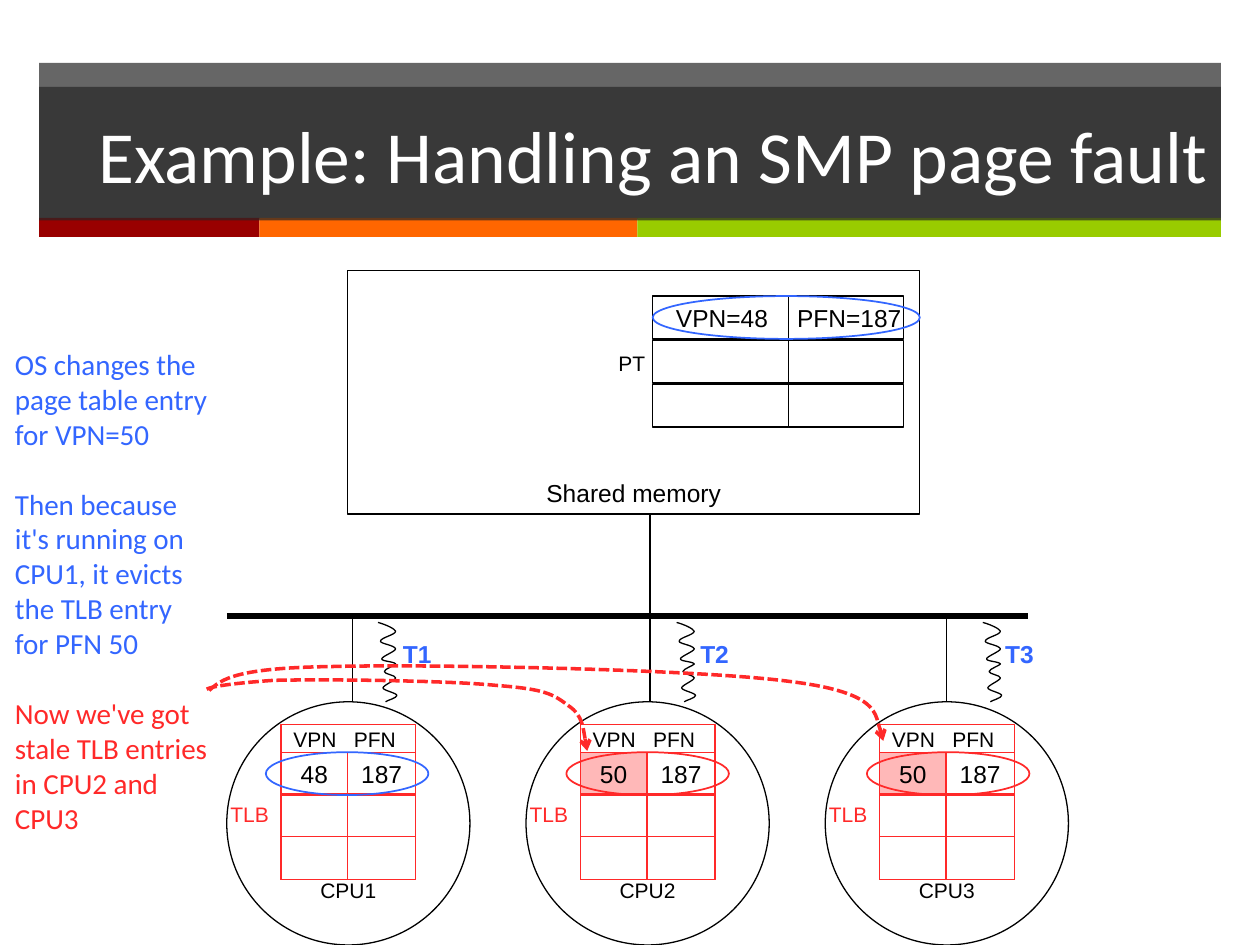
from lxml import etree
from pptx import Presentation, util as u
from pptx.dml.color import RGBColor
from pptx.enum import dml, shapes, text
from pptx.oxml.ns import qn

BLACK = RGBColor(0, 0, 0)
WHITE = RGBColor(255, 255, 255)
DARK = RGBColor(0x26, 0x26, 0x26)
RED = RGBColor(0xFF, 0x29, 0x29)
PINK = RGBColor(0xFF, 0xB8, 0xB8)
BLUE = RGBColor(0x33, 0x66, 0xFF)

TITLE = "Example: Handling an SMP page fault"
STRIPES = [(1.75, RGBColor(0x99, 0, 0)), (3, RGBColor(0xFF, 0x66, 0)),
           (4.63, RGBColor(0x99, 0xCC, 0))]
STORY = [
    ("OS changes the page table entry for VPN=50", BLUE),
    ("Then because it's running on CPU1, it evicts the TLB entry for PFN 50", BLUE),
    ("Now we've got stale TLB entries in CPU2 and CPU3", RED),
]
CPUS = [
    dict(name="CPU1", thread="T1", vpn="48", cell=WHITE, mark=BLUE,
         drop=2.8, wave=3.0, tag=3.1),
    dict(name="CPU2", thread="T2", vpn="50", cell=PINK, mark=RED,
         drop=5.16, wave=5.37, tag=5.46),
    dict(name="CPU3", thread="T3", vpn="50", cell=PINK, mark=RED,
         drop=7.51, wave=7.8, tag=7.88),
]
PFN = "187"
CPU_LEFT, CPU_STEP, CPU_TOP, CPU_SIZE = 1.8, 2.375, 5.57, 1.93
MARK_LEFT, MARK_STEP = 2.11, 2.385
TLB_TOP, TLB_ROWS, TLB_COLS = 5.75, (5.97, 6.3, 6.64), ((0, 0.53), (0.53, 0.54))
PT_LEFT, PT_TOP, PT_STEP, PT_COLS = 5.18, 2.35, 0.35, ((0, 1.08), (1.08, 0.91))
ROW_H, BUS_Y = 0.34, 4.89

WAVE = [
    (0, 0), (.07, .02), (.13, .05), (.14, .07), (.14, .1), (.02, .12), (.02, .15),
    (.02, .17), (.13, .18), (.14, .21), (.14, .23), (.03, .27), (.03, .29),
    (.03, .31), (.13, .31), (.14, .33), (.14, .34), (.05, .37), (.05, .39),
    (.05, .41), (.14, .42), (.14, .44), (.14, .46), (.04, .5), (.04, .52),
    (.04, .54), (.15, .56), (.15, .58), (.15, .6), (.07, .62), (.06, .63),
]
STALE_ARROWS = [
    [(1.66, 5.48), (1.76, 5.39), (1.87, 5.3), (2.64, 5.29), (3.41, 5.27),
     (5.55, 5.31), (6.28, 5.41), (7, 5.5), (7.01, 5.88), (7.01, 5.88)],
    [(1.64, 5.47), (1.71, 5.43), (2.17, 5.4), (2.17, 5.4), (2.55, 5.39),
     (3.55, 5.4), (3.94, 5.44), (4.33, 5.47), (4.39, 5.51), (4.51, 5.6),
     (4.63, 5.68), (4.66, 5.96), (4.66, 5.96)],
]

deck = Presentation()
deck.slide_width, deck.slide_height = u.Inches(10), u.Inches(7.5)
slide = deck.slides.add_slide(deck.slide_layouts[6])


def paint(part, fill=None, line=None, width=0.75):
    part.shadow.inherit = False
    if fill is None:
        part.fill.background()
    else:
        part.fill.solid()
        part.fill.fore_color.rgb = fill
    if line is None:
        part.line.fill.background()
    else:
        part.line.color.rgb = line
        part.line.width = u.Pt(width)
    return part


def block(left, top, width, height, fill=None, line=None, weight=0.75, oval=False):
    kind = shapes.MSO_SHAPE.OVAL if oval else shapes.MSO_SHAPE.RECTANGLE
    part = slide.shapes.add_shape(kind, *map(u.Inches, (left, top, width, height)))
    return paint(part, fill, line, weight)


def write(part, lines, size, font="Arial", align="CENTER", anchor="MIDDLE",
          wrap=False, bold=False, gap=0, tab=None):
    frame = part.text_frame
    frame.word_wrap = wrap
    frame.vertical_anchor = text.MSO_ANCHOR[anchor]
    for i, (words, color) in enumerate(lines):
        para = frame.add_paragraph() if i else frame.paragraphs[0]
        if tab:
            stops = etree.SubElement(para._p.get_or_add_pPr(), qn("a:tabLst"))
            etree.SubElement(stops, qn("a:tab"), pos=str(u.Inches(tab)), algn="l")
        para.alignment = text.PP_ALIGN[align]
        if i:
            para.space_before = u.Pt(gap)
        run = para.add_run()
        run.text = words
        run.font.size, run.font.name, run.font.bold = u.Pt(size), font, bold
        run.font.color.rgb = color
    return frame


def label(left, top, width, height, lines, size, **style):
    box = slide.shapes.add_textbox(*map(u.Inches, (left, top, width, height)))
    return write(box, lines, size, align="LEFT", anchor="TOP", **style)


def wire(x1, y1, x2, y2, width=0.75):
    line = slide.shapes.add_connector(
        shapes.MSO_CONNECTOR.STRAIGHT, *map(u.Inches, (x1, y1, x2, y2)))
    line.line.color.rgb, line.line.width = BLACK, u.Pt(width)
    etree.SubElement(line._element.spPr, qn("a:effectLst"))


def curve(points, color, width=0.75):
    start, *rest = [tuple(map(u.Inches, point)) for point in points]
    builder = slide.shapes.build_freeform(*start)
    builder.add_line_segments(rest, close=False)
    part = builder.convert_to_shape()
    sides = part._element.spPr.findall(".//" + qn("a:lnTo"))
    for k in range(0, len(sides), 3):
        bend = etree.Element(qn("a:cubicBezTo"))
        sides[k].addprevious(bend)
        for side in sides[k:k + 3]:
            bend.append(side[0])
            side.getparent().remove(side)
    return paint(part, line=color, width=width)


def band(top, height):
    part = block(0.31, top, 9.38, height, DARK)
    shade = part._element.spPr.find(".//" + qn("a:srgbClr"))
    etree.SubElement(shade, qn("a:alpha"), val="70000")
    return part


def banner():
    band(0.5, 1.24)
    left = 0.31
    for width, color in STRIPES:
        block(left, 1.73, width, 0.15, color)
        left += width
    frame = write(band(0.69, 1.06), [(TITLE, WHITE)], 42, "Calibri", "LEFT")
    frame.margin_left = u.Inches(0.47)


def memory():
    write(block(2.76, 2.15, 4.54, 1.93, line=BLACK),
          [("Shared memory", BLACK)], 14, anchor="BOTTOM")
    for row in range(3):
        for col, (offset, width) in enumerate(PT_COLS):
            cell = block(PT_LEFT + offset, PT_TOP + row * PT_STEP, width, ROW_H, line=BLACK)
            if row == 0:
                entry, indent = (("VPN=48", 0.12), ("PFN=187", 0.15))[col]
                frame = write(cell, [(entry, BLACK)], 14)
                frame.margin_left = u.Inches(indent)
    label(4.81, 2.73, 0.54, 0.3, [("PT", BLACK)], 12, wrap=True)
    block(PT_LEFT, PT_TOP, 2.12, ROW_H, line=BLUE, weight=1, oval=True)


def processor(index, cpu):
    left = CPU_LEFT + index * CPU_STEP
    tlb = left + 0.43
    write(block(left, CPU_TOP, CPU_SIZE, CPU_SIZE, line=BLACK, oval=True),
          [(cpu["name"], BLACK)], 12, anchor="BOTTOM")
    wire(cpu["drop"], BUS_Y, cpu["drop"], CPU_TOP)
    block(tlb, TLB_TOP, 1.07, 1.23, line=RED)
    label(tlb, 5.72, 1.07, 0.3, [("VPN\tPFN", BLACK)], 12, wrap=True, tab=0.48)
    for row, top in enumerate(TLB_ROWS):
        for col, (offset, width) in enumerate(TLB_COLS):
            first = row == 0
            fill = cpu["cell"] if first and col == 0 else None
            cell = block(tlb + offset, top, width, ROW_H, fill, RED)
            if first:
                write(cell, [((cpu["vpn"], PFN)[col], BLACK)], 14)
    label(left - 0.07, 6.31, 0.54, 0.3, [("TLB", RED)], 12, wrap=True)
    block(MARK_LEFT + index * MARK_STEP, TLB_ROWS[0], 1.29, ROW_H,
          line=cpu["mark"], weight=1, oval=True)
    curve([(cpu["wave"] + x, 4.94 + y) for x, y in WAVE], BLACK)
    label(cpu["tag"], 5.02, 0.43, 0.34, [(cpu["thread"], BLUE)], 14, bold=True)


banner()
label(0.02, 2.7, 1.75, 3.8, STORY, 16.6, font="Calibri", wrap=True, gap=20)
memory()
wire(1.8, BUS_Y, 8.16, BUS_Y, 3)
wire(5.16, 4.09, 5.16, BUS_Y)
for index, cpu in enumerate(CPUS):
    processor(index, cpu)
for route in STALE_ARROWS:
    arrow = curve(route, RED, 2)
    arrow.line.dash_style = dml.MSO_LINE.SQUARE_DOT
    etree.SubElement(arrow.line._get_or_add_ln(), qn("a:tailEnd"), type="arrow")

deck.save("out.pptx")
